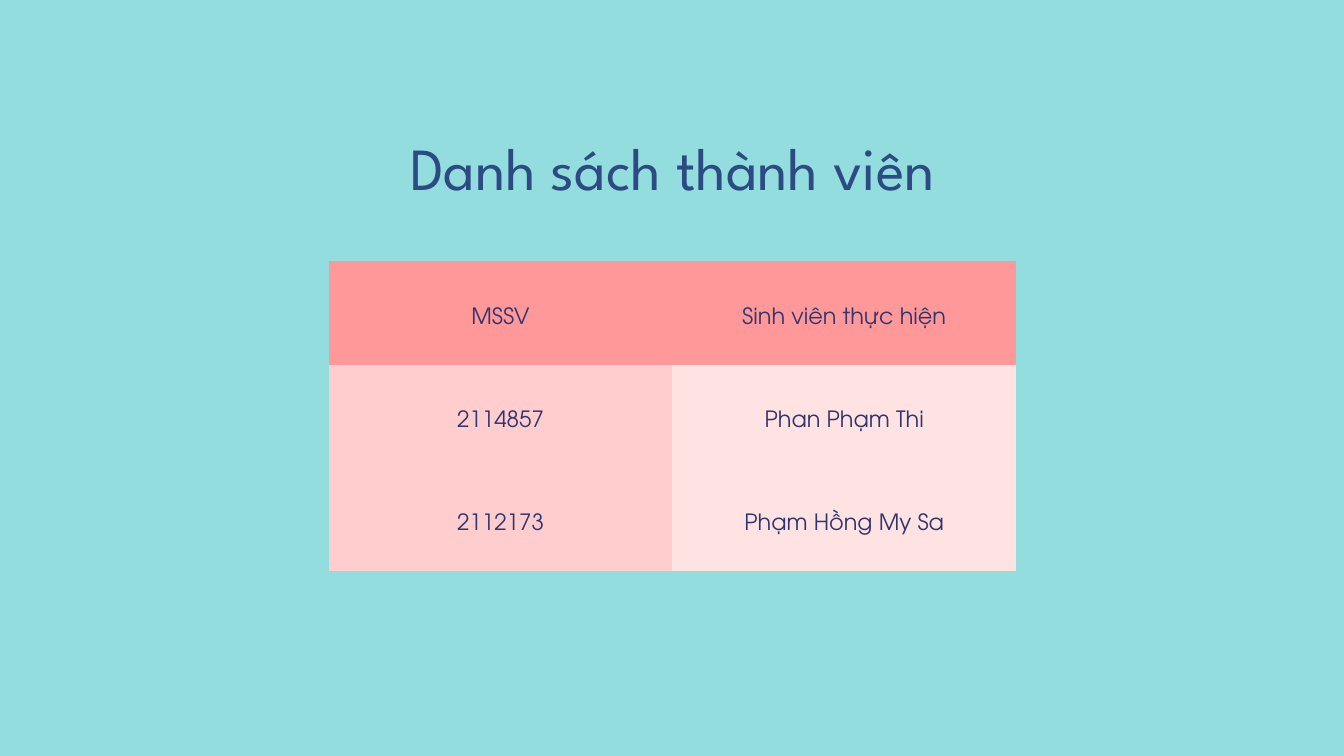
from pptx import Presentation
from pptx import util as u
from pptx.dml.color import RGBColor
from pptx.enum import text
from pptx.oxml.ns import qn
from lxml import etree

AQUA = RGBColor(0x94, 0xDD, 0xDE)
BLUE = RGBColor(0x2B, 0x4B, 0x82)
NAVY = RGBColor(0x31, 0x35, 0x6E)
CORAL = RGBColor(0xFF, 0x99, 0x99)
PINK = RGBColor(0xFF, 0xCD, 0xCD)
BLUSH = RGBColor(0xFF, 0xE3, 0xE3)

MEMBERS = [
    ("MSSV", "Sinh viên thực hiện"),
    ("2114857", "Phan Phạm Thi"),
    ("2112173", "Phạm Hồng My Sa"),
]
ROW_COUNT = 5


def write(frame, content, *, font, size, color, spacing):
    paragraph = frame.paragraphs[0]
    paragraph.alignment = text.PP_ALIGN.CENTER
    paragraph.line_spacing = u.Pt(spacing)
    run = paragraph.add_run()
    run.text = content
    run.font.name = font
    run.font.size = u.Pt(size)
    run.font.color.rgb = color
    run.font.bold = False


class MemberSlide:
    title_style = dict(font="League Spartan", size=64, color=BLUE, spacing=76.8)
    cell_style = dict(font="TeX Gyre Adventor", size=24, color=NAVY, spacing=33.6)
    cell_margin = u.Inches(0.21)

    def __init__(self, deck):
        self.slide = deck.slides.add_slide(deck.slide_layouts[5])
        fill = self.slide.background.fill
        fill.solid()
        fill.fore_color.rgb = AQUA

    def title(self, content, left, top, width, height):
        heading = self.slide.shapes.title
        heading.left, heading.top = u.Inches(left), u.Inches(top)
        heading.width, heading.height = u.Inches(width), u.Inches(height)
        frame = heading.text_frame
        frame.margin_left = frame.margin_right = 0
        frame.margin_top = frame.margin_bottom = 0
        frame.vertical_anchor = text.MSO_ANCHOR.TOP
        frame.auto_size = text.MSO_AUTO_SIZE.SHAPE_TO_FIT_TEXT
        frame.word_wrap = True
        write(frame, content, **self.title_style)

    def table(self, rows, row_count, left, top, width, height):
        members = self.slide.shapes.add_table(
            row_count, len(rows[0]), u.Inches(left), u.Inches(top),
            u.Inches(width), u.Inches(height)).table
        members.first_row = members.horz_banding = False
        for cell in members.iter_cells():
            self.clear_cell(cell)
        for r, row in enumerate(rows):
            for c, content in enumerate(row):
                cell = members.cell(r, c)
                cell.fill.solid()
                cell.fill.fore_color.rgb = (PINK, BLUSH)[c] if r else CORAL
                write(cell.text_frame, content, **self.cell_style)

    def clear_cell(self, cell):
        cell.margin_left = cell.margin_right = self.cell_margin
        cell.margin_top = cell.margin_bottom = self.cell_margin
        cell.vertical_anchor = text.MSO_ANCHOR.MIDDLE
        properties = cell._tc.get_or_add_tcPr()
        for side in ("a:lnL", "a:lnR", "a:lnT", "a:lnB"):
            border = etree.SubElement(properties, qn(side), w="0")
            etree.SubElement(border, qn("a:noFill"))
        cell.fill.background()


def main():
    deck = Presentation()
    deck.slide_width, deck.slide_height = u.Inches(20), u.Inches(11.25)
    page = MemberSlide(deck)
    page.table(MEMBERS, ROW_COUNT, 4.89, 3.89, 10.23, 7.68)
    page.title("Danh sách thành viên", 1.18, 1.95, 17.65, 1.08)
    deck.save("out.pptx")


if __name__ == "__main__":
    main()
